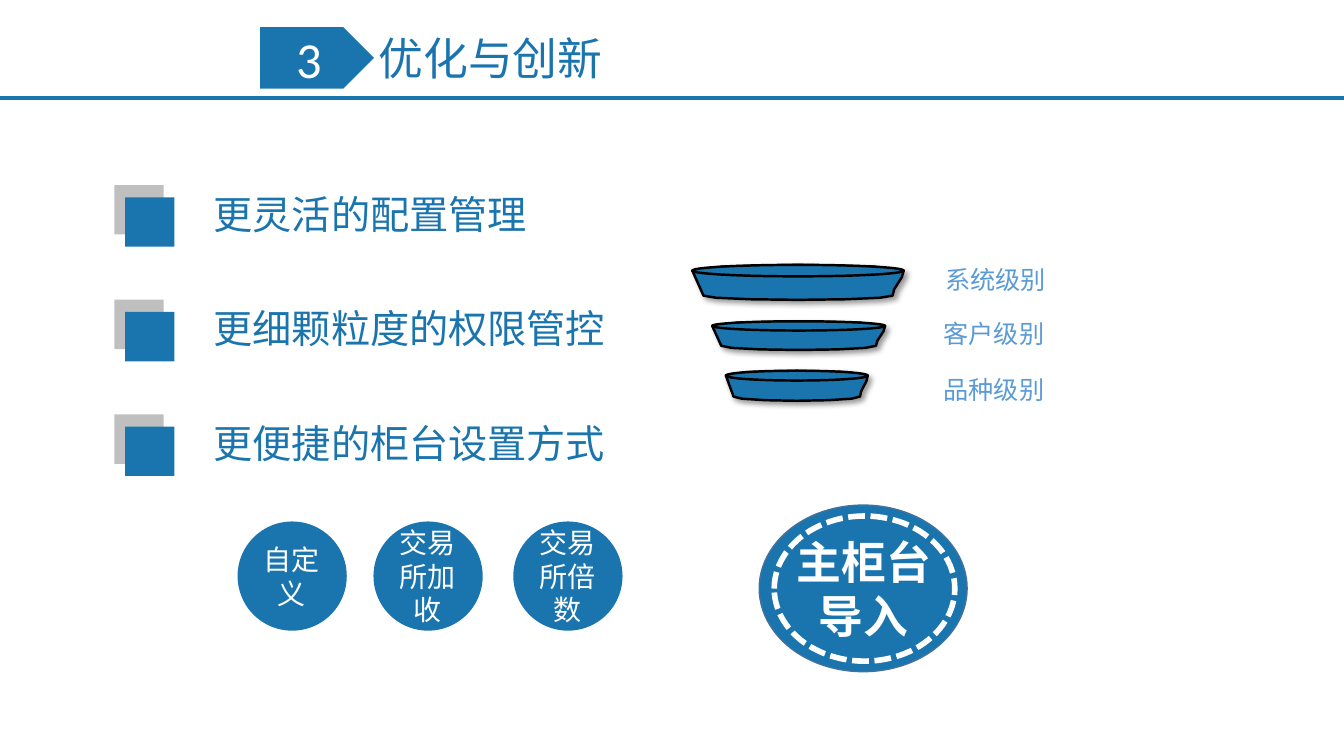
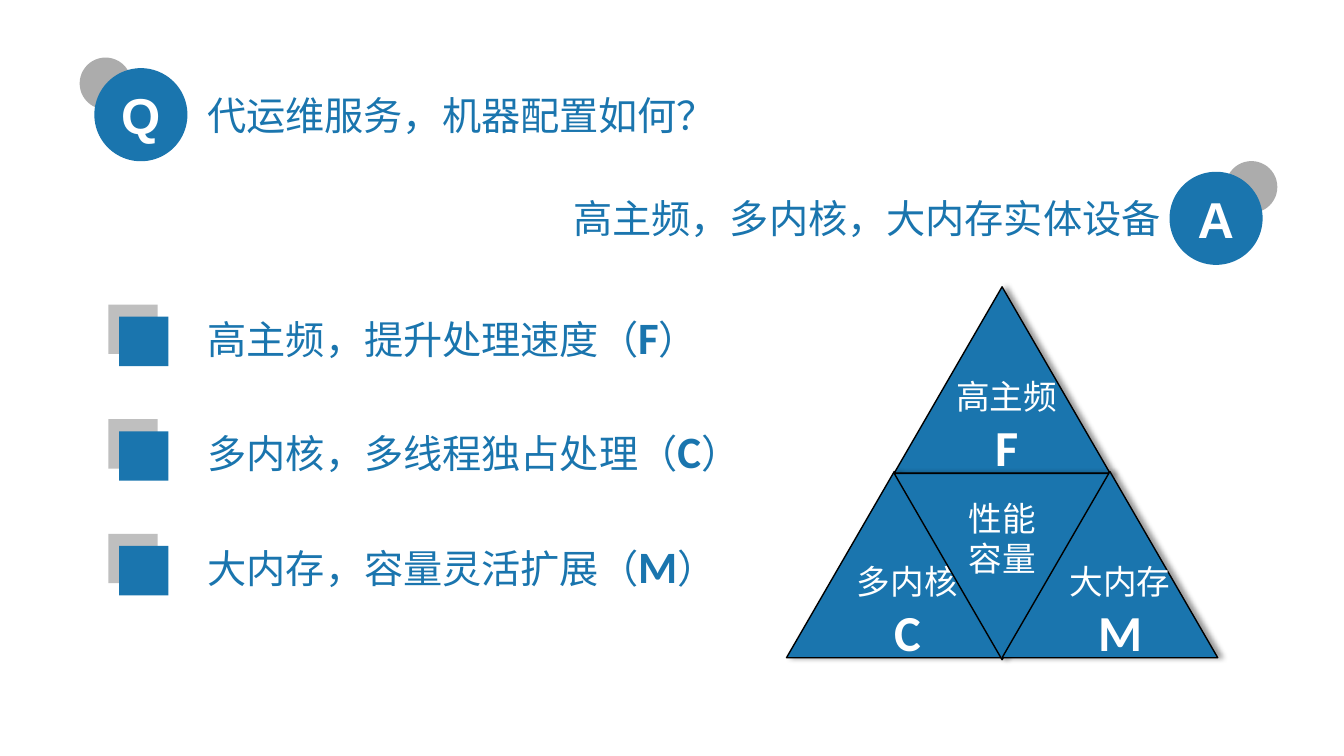
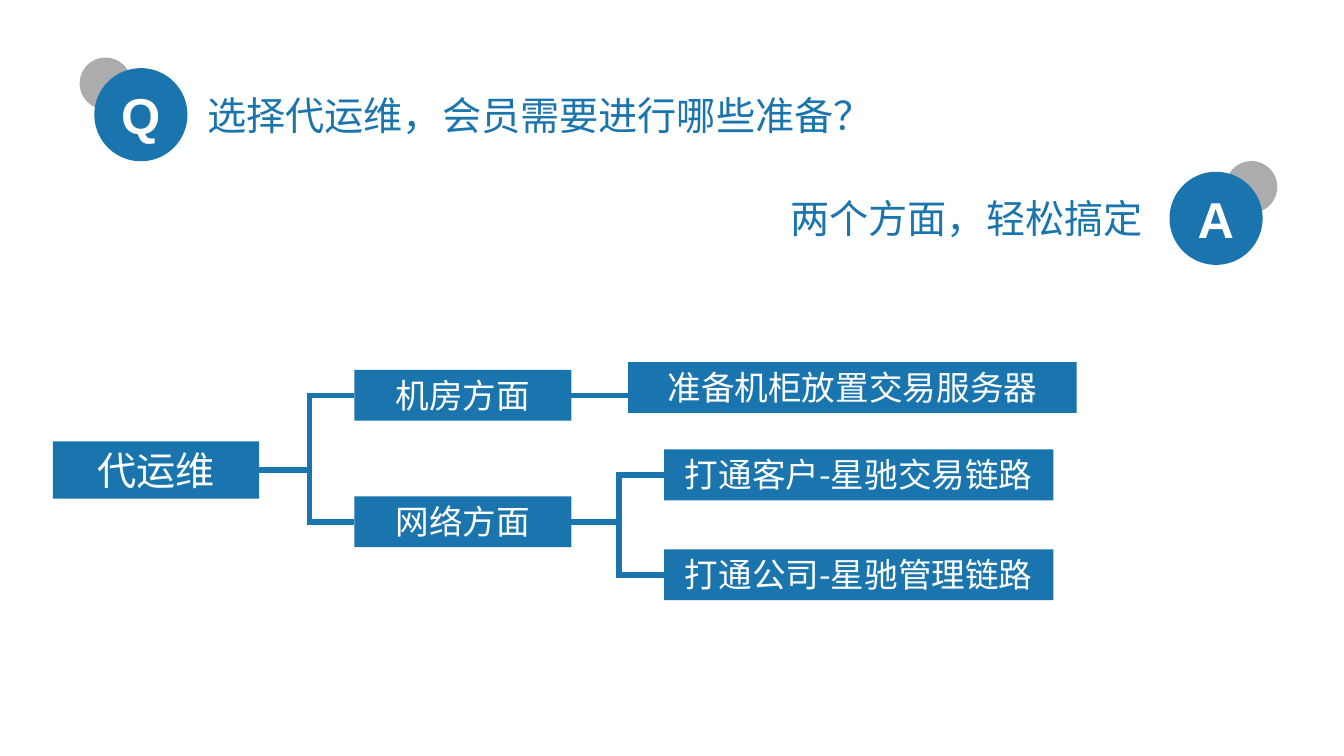
import math

import lxml.etree
import pptx
import pptx.dml.color
import pptx.enum.dml
import pptx.enum.shapes
import pptx.enum.text
import pptx.oxml.ns
import pptx.util

Pt = pptx.util.Pt
qn = pptx.oxml.ns.qn
Kind = pptx.enum.shapes.MSO_SHAPE
Align = pptx.enum.text.PP_ALIGN
Anchor = pptx.enum.text.MSO_ANCHOR
Fit = pptx.enum.text.MSO_AUTO_SIZE

COLORS = {"blue": "1A75AE", "gray": "BFBFBF", "dot": "808080", "sky": "5B9BD5",
          "white": "FFFFFF", "black": "000000", "edge": "42719B"}
HAN = "Noto Sans CJK SC"
LATIN = "Calibri"
STEP = 81.9


def color(name):
    return pptx.dml.color.RGBColor.from_string(COLORS[name])


def style(run, size, tint, font=HAN, bold=False):
    run.font.size = Pt(size)
    run.font.bold = bold
    run.font.color.rgb = color(tint)
    run.font.name = font
    lxml.etree.SubElement(run._r.get_or_add_rPr(), qn("a:ea"), typeface=LATIN)


def write(shape, text, size, tint="blue", font=HAN, bold=False,
          align=Align.LEFT, anchor=Anchor.TOP):
    frame = shape.text_frame
    frame.text = text
    frame.word_wrap = True
    frame.auto_size = Fit.SHAPE_TO_FIT_TEXT
    frame.vertical_anchor = anchor
    frame.margin_left = frame.margin_right = Pt(3.6)
    frame.margin_top = frame.margin_bottom = Pt(3.6)
    for para in frame.paragraphs:
        para.alignment = align
        for run in para.runs:
            style(run, size, tint, font, bold)


def label(slide, x, y, w, h, text, size, **look):
    box = slide.shapes.add_textbox(Pt(x), Pt(y), Pt(w), Pt(h))
    write(box, text, size, **look)
    return box


def center(slide, x, y, w, h, text, size, **look):
    return label(slide, x, y, w, h, text, size, tint="white",
                 align=Align.CENTER, anchor=Anchor.MIDDLE, **look)


def paint(shape, fill="blue", line=None, width=1):
    if fill:
        shape.fill.solid()
        shape.fill.fore_color.rgb = color(fill)
    else:
        shape.fill.background()
    if line:
        shape.line.color.rgb = color(line)
        shape.line.width = Pt(width)
    else:
        shape.line.fill.background()
    shape.shadow.inherit = False
    return shape


def block(slide, kind, x, y, w, h, *look):
    return paint(slide.shapes.add_shape(kind, Pt(x), Pt(y), Pt(w), Pt(h)), *look)


def fade(node, share):
    lxml.etree.SubElement(node, qn("a:alpha"), val=str(share * 1000))


def shade(shape, angle):
    effects = shape._element.spPr.find(qn("a:effectLst"))
    outer = lxml.etree.SubElement(
        effects, qn("a:outerShdw"), blurRad=str(Pt(4)), dist=str(Pt(3)),
        dir=str(angle * 60000), algn="ctr", rotWithShape="0")
    fade(lxml.etree.SubElement(outer, qn("a:srgbClr"), val=COLORS["black"]), 40)


def link(slide, x1, y1, x2, y2, width=4, start=None, end=None):
    line = slide.shapes.add_connector(
        pptx.enum.shapes.MSO_CONNECTOR.STRAIGHT, Pt(x1), Pt(y1), Pt(x2), Pt(y2))
    line.line.color.rgb = color("blue")
    line.line.width = Pt(width)
    lxml.etree.SubElement(line._element.spPr, qn("a:effectLst"))
    if start:
        line.begin_connect(start, 3)
    if end:
        line.end_connect(end, 1)


def head(deck, text, x, y, w, h, size):
    slide = deck.slides.add_slide(deck.slide_layouts[5])
    title = slide.shapes.title
    title.left, title.top, title.width, title.height = Pt(x), Pt(y), Pt(w), Pt(h)
    write(title, text, size)
    return slide


def bullet(slide, x, y, w, text, mark=None):
    block(slide, Kind.RECTANGLE, x, y, 35.3, 35.3, "gray")
    block(slide, Kind.RECTANGLE, x + 7.6, y + 8.7, 35.3, 35.3)
    box = label(slide, x + 67.3, y, w, 41, text, 28)
    if mark:
        para = box.text_frame.paragraphs[0]
        for part, size, font, bold in ((mark, 32, LATIN, True), ("）", 28, HAN, False)):
            run = para.add_run()
            run.text = part
            style(run, size, "blue", font, bold)


def badge(slide, letter, x, y, dot):
    small = block(slide, Kind.OVAL, x + dot, y - 7.6, 37, 37, "dot")
    fade(small.fill._xPr.find(qn("a:solidFill"))[0], 65)
    block(slide, Kind.OVAL, x, y, 66.5, 66.5)
    center(slide, x + 9.7, y + 9.5, 46.8, 47.5, letter, 36, font="Arial", bold=True)


def ask(deck, query, reply, x, w):
    slide = head(deck, query, 144.4, 61.5, 720, 41, 28)
    badge(slide, "Q", 67.4, 48.7, -10.5)
    badge(slide, "A", 835.4, 122.7, 40)
    label(slide, x, 135.5, w, 41, reply, 28)
    return slide


def arc(x, y, rx, ry, first, parts):
    turns = [math.radians(first + 180 * i / parts) for i in range(parts + 1)]
    return [(x + rx * math.cos(t), y + ry * math.sin(t)) for t in turns]


def tray(slide, x, y, w, h, rim, cut):
    mid, base = x + w / 2, y + h - 3
    right, top = x + w, y + rim
    dots = arc(mid, top, w / 2, rim, 180, 4)
    dots += [(right - cut * a, top + (base - top) * b)
             for a, b in ((0.16, 0.26), (0.5, 0.5), (0.84, 0.74))]
    dots += arc(mid, base, w / 2 - cut, 3, 0, 6)
    dots = [(Pt(px), Pt(py)) for px, py in dots]
    pen = slide.shapes.build_freeform(*dots[0], scale=1.0)
    pen.add_line_segments(dots[1:], close=True)
    shade(paint(pen.convert_to_shape(), "blue", "black", 1.75), 45)
    block(slide, Kind.OVAL, x, y, w, 2 * rim, "blue", "black", 1.75)


def ideas(deck):
    slide = head(deck, "优化与创新", 266.8, 18.4, 588, 46, 32)
    link(slide, 0, 70, 960, 70, 3.25)
    flag = block(slide, Kind.PENTAGON, 185.8, 19.4, 81.3, 44)
    flag.adjustments[0] = 0.5
    center(slide, 185.8, 16, 69.8, 51, "3", 36, font=LATIN)
    rows = (("更灵活的配置管理", 588), ("更细颗粒度的权限管控", 330.5),
            ("更便捷的柜台设置方式", 423))
    for i, (text, w) in enumerate(rows):
        bullet(slide, 81.7, 132.2 + STEP * i, w, text)
    rings = ((169.7, "自定义", 55.4), (266.8, "交易所加收", 79.9), (366.7, "交易所倍数", 79.9))
    for x, text, h in rings:
        block(slide, Kind.OVAL, x, 372.5, 78, 78)
        center(slide, x + 11, 411.5 - h / 2, 55.4, h, text, 20, font=LATIN)
    block(slide, Kind.OVAL, 542.3, 360.8, 148.5, 119, "blue", "edge")
    center(slide, 564.5, 365.8, 105, 109.4, "主柜台导入", 32, font="Arial", bold=True)
    ring = block(slide, Kind.OVAL, 553, 368.6, 129, 103.7, None, "white", 4)
    ring.line.dash_style = pptx.enum.dml.MSO_LINE.SQUARE_DOT
    trays = ((494.5, 189.2, 151, 25, 4.1, 8), (508.7, 229.5, 123.5, 20.5, 3.3, 6.5),
             (518.5, 264.8, 101.3, 21.5, 3.5, 5.5))
    for tier in trays:
        tray(slide, *tier)
    levels = ((671.6, 185, "系统级别"), (670.3, 224, "客户级别"), (670.3, 263.5, "品种级别"))
    for x, y, text in levels:
        label(slide, x, y, 86.4, 29, text, 18, tint="sky", font=LATIN)


def delta(slide, x, y):
    shape = block(slide, Kind.ISOSCELES_TRIANGLE, x, y, 154, 133, "blue", "black")
    shade(shape, 0)
    return shape


def tip(slide, x, y, shift, w, text):
    delta(slide, x, y)
    box = center(slide, x + shift, y + 59.7, w, 80, text, 24)
    mark = box.text_frame.paragraphs[1].runs[0].font
    mark.size, mark.name, mark.bold = Pt(36), LATIN, True


def power(deck):
    slide = ask(deck, "代运维服务，机器配置如何？", "高主频，多内核，大内存实体设备", 406, 438)
    tip(slide, 638.8, 204.9, 34.2, 92, "高主频\nF")
    tip(slide, 561.8, 336.8, 38.8, 95, "多内核\nC")
    turned = delta(slide, 638.8, 338.3)
    turned._element.spPr.find(qn("a:xfrm")).set("flipV", "1")
    tip(slide, 715.8, 336.8, 38.8, 91, "大内存\nM")
    label(slide, 662, 352, 108, 65.5, "性能\n容量", 24, tint="white", align=Align.CENTER)
    rows = (("高主频，提升处理速度（", "F", 588), ("多内核，多线程独占处理（", "C", 397.5),
            ("大内存，容量灵活扩展（", "M", 409))
    for i, (text, mark, w) in enumerate(rows):
        bullet(slide, 77.4, 217.5 + STEP * i, w, text, mark)


def node(slide, x, y, w, text, size=24, h=36.4):
    shape = block(slide, Kind.RECTANGLE, x, y, w, h)
    write(shape, text, size, tint="white", align=Align.CENTER)
    return shape


def fork(slide, root, leaves, x):
    mid = (root.top + root.height / 2) / 12700
    link(slide, x - 36, mid, x, mid, start=root)
    rows = [(leaf.top + leaf.height / 2) / 12700 for leaf in leaves]
    link(slide, x, rows[0], x, rows[-1])
    for leaf, y in zip(leaves, rows):
        link(slide, x - 2, y, x + 34, y, end=leaf)


def plan(deck):
    slide = ask(deck, "选择代运维，会员需要进行哪些准备？", "两个方面，轻松搞定", 561, 283)
    root = node(slide, 37.7, 315.2, 147.5, "代运维", 28, 41)
    room = node(slide, 253.2, 264.2, 155, "机房方面")
    net = node(slide, 253.2, 354.5, 155, "网络方面")
    node(slide, 448.6, 258.6, 320.5, "准备机柜放置交易服务器")
    trade = node(slide, 474.4, 321, 278, "打通客户-星驰交易链路")
    admin = node(slide, 474.4, 392.4, 278, "打通公司-星驰管理链路")
    fork(slide, root, (room, net), 221)
    fork(slide, net, (trade, admin), 442)
    link(slide, 408.2, 282.4, 448.6, 282.4, start=room)


def main():
    deck = pptx.Presentation()
    deck.slide_width, deck.slide_height = Pt(960), Pt(540)
    ideas(deck)
    power(deck)
    plan(deck)
    deck.save("out.pptx")


if __name__ == "__main__":
    main()
